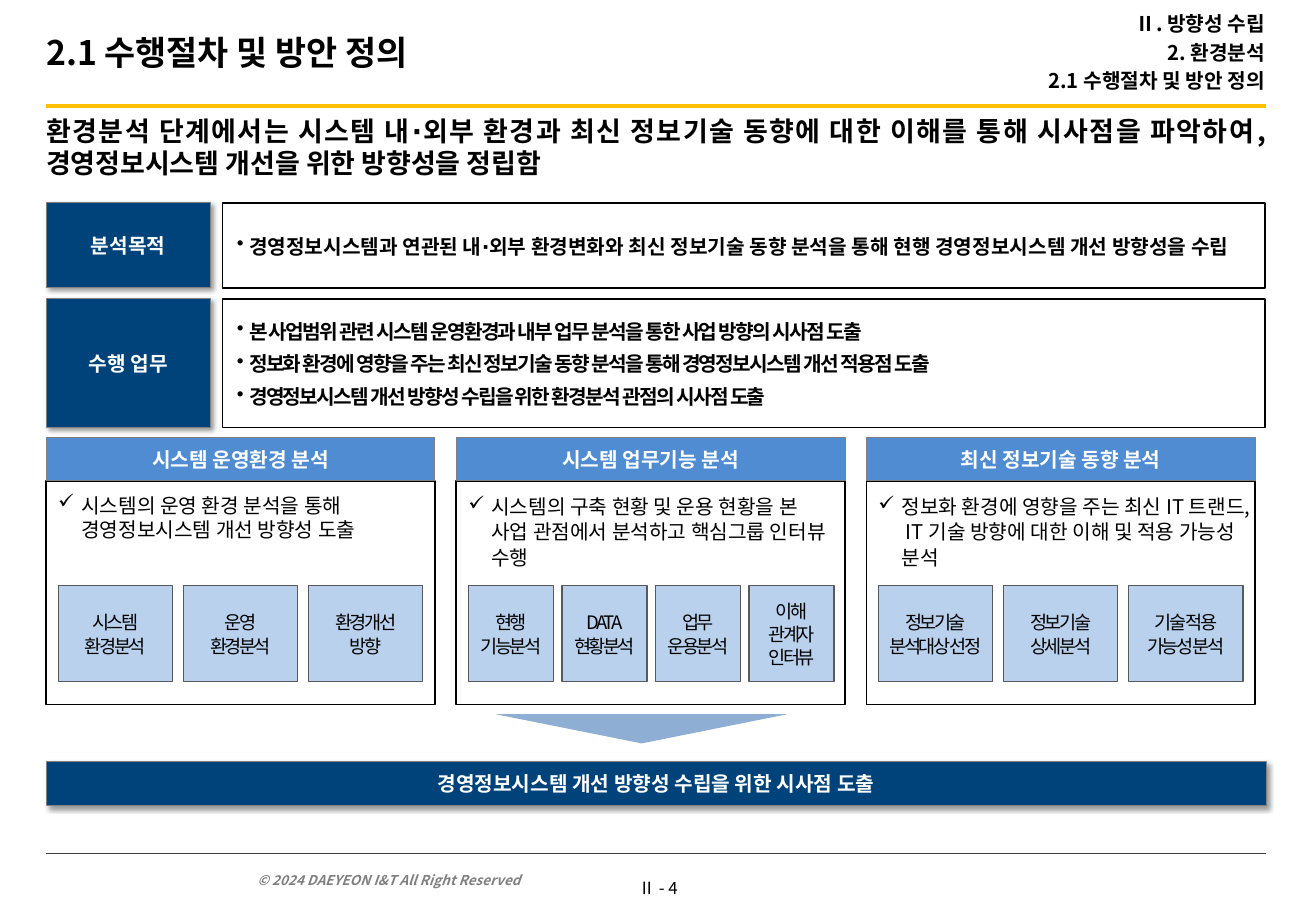
from lxml import etree
from pptx import Presentation
from pptx.dml.color import RGBColor
from pptx.enum.shapes import MSO_CONNECTOR, MSO_SHAPE
from pptx.enum.text import MSO_ANCHOR, PP_ALIGN
from pptx.oxml.ns import qn
from pptx.util import Inches, Pt

LEFT, CENTER, RIGHT, JUSTIFY = PP_ALIGN.LEFT, PP_ALIGN.CENTER, PP_ALIGN.RIGHT, PP_ALIGN.JUSTIFY
TOP, MIDDLE, BOTTOM = MSO_ANCHOR.TOP, MSO_ANCHOR.MIDDLE, MSO_ANCHOR.BOTTOM
RECT, TRIANGLE = MSO_SHAPE.RECTANGLE, MSO_SHAPE.ISOSCELES_TRIANGLE
STRAIGHT = MSO_CONNECTOR.STRAIGHT

FONT = "Noto Sans CJK KR"
COLORS = {
    "black": "000000", "white": "FFFFFF", "gold": "FFC000", "rule": "404040",
    "gray": "808080", "navy": "00437A", "blue": "508CD2", "pale": "B9D1ED",
    "edge": "595959", "arrow": "8FAED3",
}
MARGIN, WIDTH = 0.38, 10.04
CARD_W, CARD_PITCH = 3.2, 3.375


class Deck:
    def __init__(self, width, height):
        self.prs = Presentation()
        self.prs.slide_width, self.prs.slide_height = Inches(width), Inches(height)
        self.slide = self.prs.slides.add_slide(self.prs.slide_layouts[6])

    def color(self, name):
        return RGBColor.from_string(COLORS[name])

    def line(self, x, y, length, color, weight):
        s = self.slide.shapes.add_connector(
            STRAIGHT, Inches(x), Inches(y), Inches(x + length), Inches(y))
        s.line.color.rgb, s.line.width = self.color(color), Pt(weight)
        etree.SubElement(s._element.spPr, qn("a:effectLst"))

    def shape(self, box, fill=None, line=None, weight=0.5, kind=RECT, shadow=False):
        s = self.slide.shapes.add_shape(kind, *map(Inches, box))
        s.shadow.inherit = False
        if fill:
            s.fill.solid()
            s.fill.fore_color.rgb = self.color(fill)
        else:
            s.fill.background()
        if line:
            s.line.color.rgb, s.line.width = self.color(line), Pt(weight)
        else:
            s.line.fill.background()
        if shadow:
            effects = s._element.spPr.find(qn("a:effectLst"))
            outer = etree.SubElement(effects, qn("a:outerShdw"), blurRad=str(Pt(3)),
                                     dist=str(Pt(2)), dir="2700000", algn="tl")
            rgb = etree.SubElement(outer, qn("a:srgbClr"), val=COLORS["black"])
            etree.SubElement(rgb, qn("a:alpha"), val="40000")
        return s

    def text(self, box, lines, **style):
        self.fill_text(self.slide.shapes.add_textbox(*map(Inches, box)), lines, **style)

    def fill_text(self, s, lines, size=12, color="black", bold=False, italic=False,
                  align=LEFT, anchor=MIDDLE, insets=(0.1, 0.05, 0.1, 0.05), wrap=True,
                  spacing=None, before=0, bullet=None, indent=0.1, kern=None):
        tf = s.text_frame
        left, top, right, bottom = map(Inches, insets)
        frame = {"word_wrap": wrap, "vertical_anchor": anchor, "margin_left": left,
                 "margin_top": top, "margin_right": right, "margin_bottom": bottom}
        for name, value in frame.items():
            setattr(tf, name, value)
        for i, line in enumerate(lines):
            p = tf.paragraphs[0] if i == 0 else tf.add_paragraph()
            p.alignment = align
            if spacing:
                p.line_spacing = spacing
            if i and before:
                p.space_before = Pt(before)
            if bullet:
                pPr = p._p.get_or_add_pPr()
                pPr.set("marL", str(Inches(indent)))
                pPr.set("indent", str(-Inches(indent)))
                etree.SubElement(pPr, qn("a:buChar"), char=bullet)
            r = p.add_run()
            r.text = line
            for name, value in {"size": Pt(size), "bold": bold, "italic": italic,
                                "name": FONT}.items():
                setattr(r.font, name, value)
            r.font.color.rgb = self.color(color)
            rPr = r._r.get_or_add_rPr()
            etree.SubElement(rPr, qn("a:ea"), typeface=FONT)
            if kern:
                rPr.set("spc", str(int(kern * 100)))

    def banner(self, box, label, fill="navy", shadow=True):
        s = self.shape(box, fill, "gray", shadow=shadow)
        self.fill_text(s, [label], color="white", bold=True, align=CENTER)

    def row(self, y, height, label, points, kern=None):
        self.banner((MARGIN, y, 1.35, height), label)
        s = self.shape((1.83, y, 8.58, height), line="black", weight=1)
        self.fill_text(s, points, bold=True, insets=(0.12, 0.08, 0.04, 0.08),
                       spacing=1.05, before=4.2, bullet="•", kern=kern)

    def card(self, x, title, summary, steps, step_w, pitch, spacing):
        self.shape((x, 3.96, CARD_W, 1.84), line="black", weight=1)
        self.banner((x, 3.6, CARD_W, 0.36), title, "blue", False)
        self.text((x, 4.01, CARD_W + 0.05, 0.8), [summary], anchor=TOP,
                  spacing=spacing, bullet="✓", indent=0.19)
        for i, step in enumerate(steps):
            s = self.shape((x + 0.1 + i * pitch, 4.82, step_w, 0.79), "pale", "edge", 0.75)
            self.fill_text(s, step, size=11, align=CENTER, insets=(0.04,) * 4,
                           spacing=1.05, kern=-1.5)


def main():
    deck = Deck(10.83, 7.5)
    deck.line(MARGIN, 0.87, WIDTH, "gold", 2.5)
    deck.line(MARGIN, 7.03, WIDTH, "rule", 0.5)
    deck.text((2.02, 7.09, 3.02, 0.27), ["© 2024 DAEYEON I&T All Right Reserved"],
              size=8, color="gray", bold=True, italic=True, anchor=BOTTOM)
    deck.text((5.12, 7.18, 0.59, 0.27), ["Ⅱ - 4"], size=10, align=CENTER, anchor=TOP,
              insets=(0.06, 0.05, 0.06, 0.05), wrap=False)
    deck.text((MARGIN, 0, 6.4, 0.85), ["2.1 수행절차 및 방안 정의"], size=20, bold=True,
              insets=(0, 0.05, 0.1, 0.05))
    deck.text((6.87, 0, 3.54, 0.86),
              ["Ⅱ. 방향성 수립", "2. 환경분석", "2.1 수행절차 및 방안 정의"],
              bold=True, align=RIGHT, insets=(0, 0.05, 0, 0.05), before=2.4)
    deck.text((MARGIN, 0.94, WIDTH, 0.68),
              ["환경분석 단계에서는 시스템 내∙외부 환경과 최신 정보기술 동향에 대한 이해를 통해 "
               "시사점을 파악하여, 경영정보시스템 개선을 위한 방향성을 정립함"],
              size=16, bold=True, align=JUSTIFY, anchor=TOP, insets=(0,) * 4)

    deck.row(1.67, 0.7, "분석목적", [
        "경영정보시스템과 연관된 내∙외부 환경변화와 최신 정보기술 동향 분석을 통해 "
        "현행 경영정보시스템 개선 방향성을 수립"])
    deck.row(2.46, 1.06, "수행 업무", [
        "본 사업범위 관련 시스템 운영환경과 내부 업무 분석을 통한 사업 방향의 시사점 도출",
        "정보화 환경에 영향을 주는 최신 정보기술 동향 분석을 통해 경영정보시스템 개선 적용점 도출",
        "경영정보시스템 개선 방향성 수립을 위한 환경분석 관점의 시사점 도출"], kern=-1)

    cards = [
        ("시스템 운영환경 분석",
         "시스템의 운영 환경 분석을 통해 경영정보시스템 개선 방향성 도출",
         [["시스템", "환경분석"], ["운영", "환경분석"], ["환경개선", "방향"]],
         0.94, 1.03, 1.0),
        ("시스템 업무기능 분석",
         "시스템의 구축 현황 및 운용 현황을 본 사업 관점에서 분석하고 핵심그룹 인터뷰 수행",
         [["현행", "기능분석"], ["DATA", "현황분석"], ["업무", "운용분석"],
          ["이해", "관계자", "인터뷰"]],
         0.7, 0.77, 1.05),
        ("최신 정보기술 동향 분석",
         "정보화 환경에 영향을 주는 최신 IT 트랜드, IT 기술 방향에 대한 이해 및 적용 가능성 분석",
         [["정보기술", "분석대상 선정"], ["정보기술", "상세분석"], ["기술 적용", "가능성 분석"]],
         0.94, 1.03, 1.05),
    ]
    for i, card in enumerate(cards):
        deck.card(MARGIN + i * CARD_PITCH, *card)

    arrow = deck.shape((4.08, 5.88, 2.4, 0.24), "arrow", kind=TRIANGLE)
    arrow.rotation = 180
    deck.banner((MARGIN, 6.27, WIDTH, 0.36), "경영정보시스템 개선 방향성 수립을 위한 시사점 도출")
    deck.prs.save("out.pptx")


if __name__ == "__main__":
    main()
